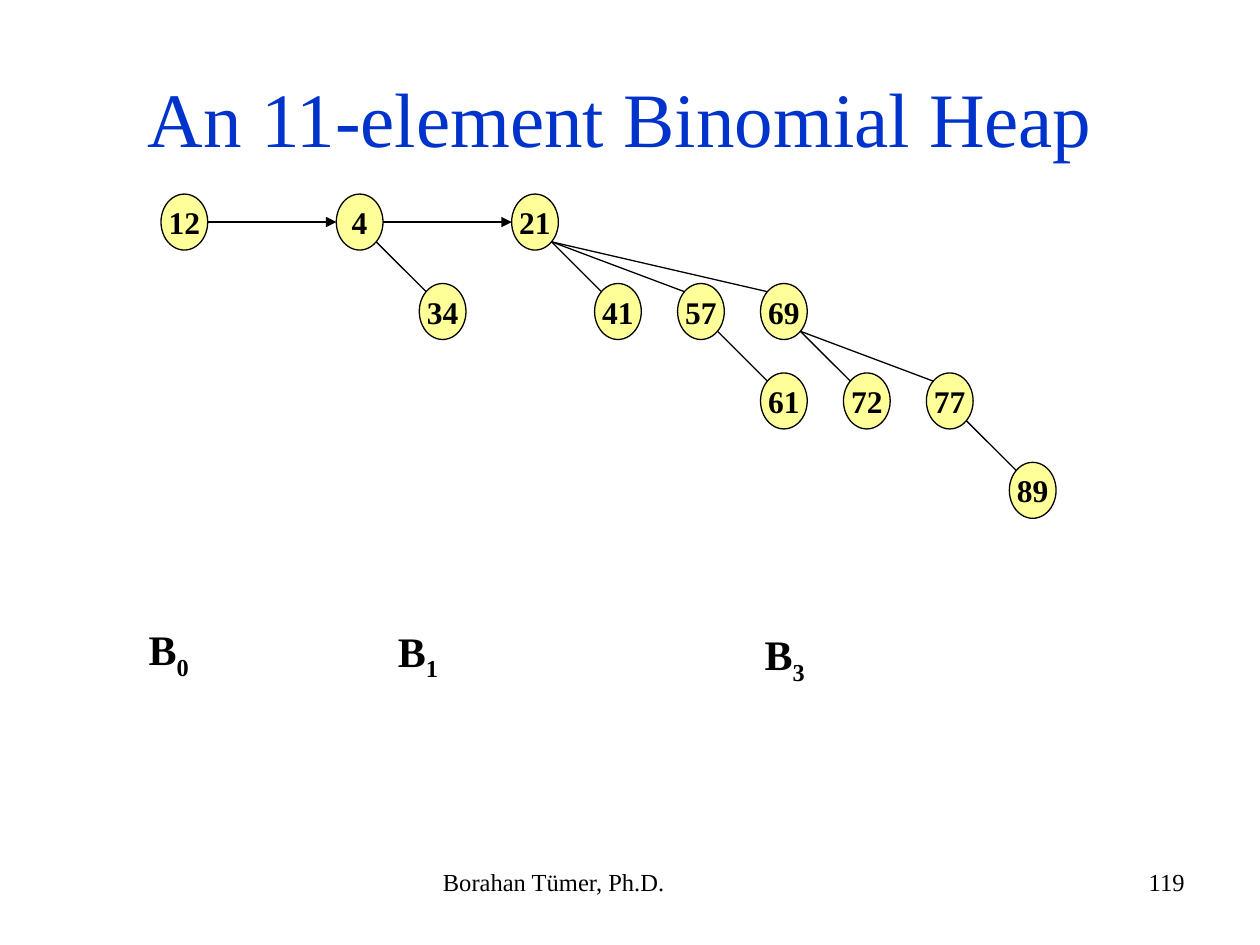
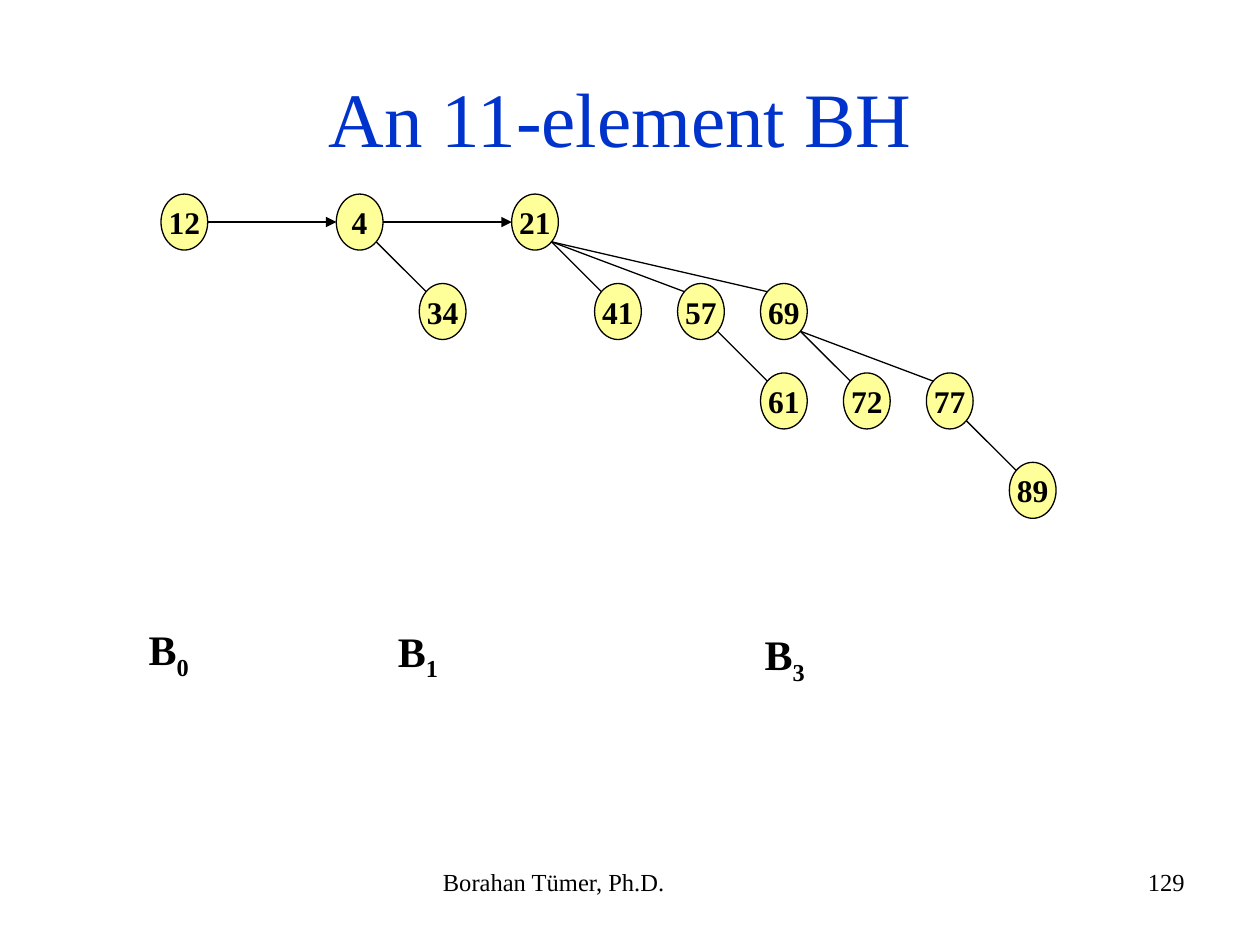
"""Build two slides that show an 11-element binomial heap."""
from math import sqrt

from lxml import etree
from pptx import Presentation
from pptx.dml.color import RGBColor
from pptx.enum.shapes import MSO_CONNECTOR, MSO_SHAPE
from pptx.enum.text import MSO_ANCHOR, MSO_AUTO_SIZE, PP_ALIGN
from pptx.oxml.ns import qn
from pptx.util import Pt

LEFT, CENTER, RIGHT = PP_ALIGN.LEFT, PP_ALIGN.CENTER, PP_ALIGN.RIGHT
TOP, MIDDLE = MSO_ANCHOR.TOP, MSO_ANCHOR.MIDDLE
FIT = MSO_AUTO_SIZE.SHAPE_TO_FIT_TEXT
OVAL, STRAIGHT = MSO_SHAPE.OVAL, MSO_CONNECTOR.STRAIGHT

COLORS = {"title": "0033CC", "ink": "000000", "node": "FFFF99"}
FONT = "Times New Roman"

NODE_W, NODE_H = 26.7, 32
HEAP_X, HEAP_Y = 92, 110.9
ROOT_STEP, COL_STEP, ROW_STEP = 100.2, 47.4, 51.1

ROOTS = [12, 4, 21]
CHILDREN = {
    4: [(34, 1, 1)],
    21: [(41, 1, 1), (57, 2, 1), (69, 3, 1)],
    57: [(61, 3, 2)],
    69: [(72, 4, 2), (77, 5, 2)],
    77: [(89, 6, 3)],
}
TREE_LABELS = [("0", 77.8, 352.8), ("1", 220.3, 353.7), ("3", 429.8, 355.8)]
SLIDES = [("An 11-element Binomial Heap ", "119"), ("An 11-element BH ", "129")]


def rgb(name):
    return RGBColor.from_string(COLORS[name])


def write(tf, text, sub="", size=18, color="ink", bold=False, align=LEFT,
          anchor=TOP, wrap=True):
    tf.word_wrap = wrap
    tf.vertical_anchor = anchor
    p = tf.paragraphs[0]
    p.alignment = align
    for part, baseline in ((text, None), (sub, "-25000")):
        if not part:
            continue
        r = p.add_run()
        r.text = part
        r.font.name = FONT
        r.font.size = Pt(size)
        r.font.bold = bold
        r.font.color.rgb = rgb(color)
        if baseline:
            r._r.get_or_add_rPr().set("baseline", baseline)


class Deck:
    def __init__(self):
        self.prs = Presentation()
        self.prs.slide_width, self.prs.slide_height = Pt(720), Pt(540)
        self.s = None

    def add_slide(self, title, number):
        self.s = self.prs.slides.add_slide(self.prs.slide_layouts[6])
        self.text(246, 492, 228, 37.5, "Borahan Tümer, Ph.D.", size=14)
        self.text(516, 492, 168, 37.5, number, size=14, align=RIGHT)
        self.text(36, 21.6, 648, 90, title, size=44, color="title",
                  align=CENTER, anchor=MIDDLE)

    def text(self, x, y, w, h, text, **fmt):
        sp = self.s.shapes.add_textbox(Pt(x), Pt(y), Pt(w), Pt(h))
        write(sp.text_frame, text, **fmt)
        return sp

    def label(self, x, y, index):
        sp = self.text(x, y, 37.5, 40, "B", sub=index, size=24, bold=True,
                       wrap=False)
        sp.text_frame.auto_size = FIT

    def node(self, x, y, key):
        sp = self.s.shapes.add_shape(
            OVAL, Pt(x - NODE_W / 2), Pt(y - NODE_H / 2), Pt(NODE_W), Pt(NODE_H))
        sp.shadow.inherit = False
        sp.fill.solid()
        sp.fill.fore_color.rgb = rgb("node")
        sp.line.color.rgb = rgb("ink")
        sp.line.width = Pt(0.75)
        write(sp.text_frame, str(key), bold=True, align=CENTER, anchor=MIDDLE,
              wrap=False)

    def line(self, start, end, arrow=False):
        sp = self.s.shapes.add_connector(STRAIGHT, *map(Pt, (*start, *end)))
        sp.line.color.rgb = rgb("ink")
        sp.line.width = Pt(0.75)
        if arrow:
            etree.SubElement(sp.line._get_or_add_ln(), qn("a:tailEnd"),
                             type="triangle")
        etree.SubElement(sp._element.spPr, qn("a:effectLst"))

    def heap(self):
        centers = {}

        def place(key, root, col, row):
            centers[key] = (
                HEAP_X + root * ROOT_STEP + col * COL_STEP + NODE_W / 2,
                HEAP_Y + row * ROW_STEP + NODE_H / 2)
            for child in CHILDREN.get(key, []):
                place(child[0], root, *child[1:])

        for i, key in enumerate(ROOTS):
            place(key, i, 0, 0)
        for key, (x, y) in centers.items():
            self.node(x, y, key)

        dx, dy = NODE_W / sqrt(8), NODE_H / sqrt(8)
        for parent, children in CHILDREN.items():
            x, y = centers[parent]
            for key, _, _ in children:
                cx, cy = centers[key]
                self.line((x + dx, y + dy), (cx - dx, cy - dy))
        for a, b in zip(ROOTS, ROOTS[1:]):
            (ax, ay), (bx, by) = centers[a], centers[b]
            self.line((ax + NODE_W / 2, ay), (bx - NODE_W / 2, by), arrow=True)


def main():
    deck = Deck()
    for title, number in SLIDES:
        deck.add_slide(title, number)
        deck.heap()
        for index, x, y in TREE_LABELS:
            deck.label(x, y, index)
    deck.prs.save("out.pptx")


if __name__ == "__main__":
    main()
